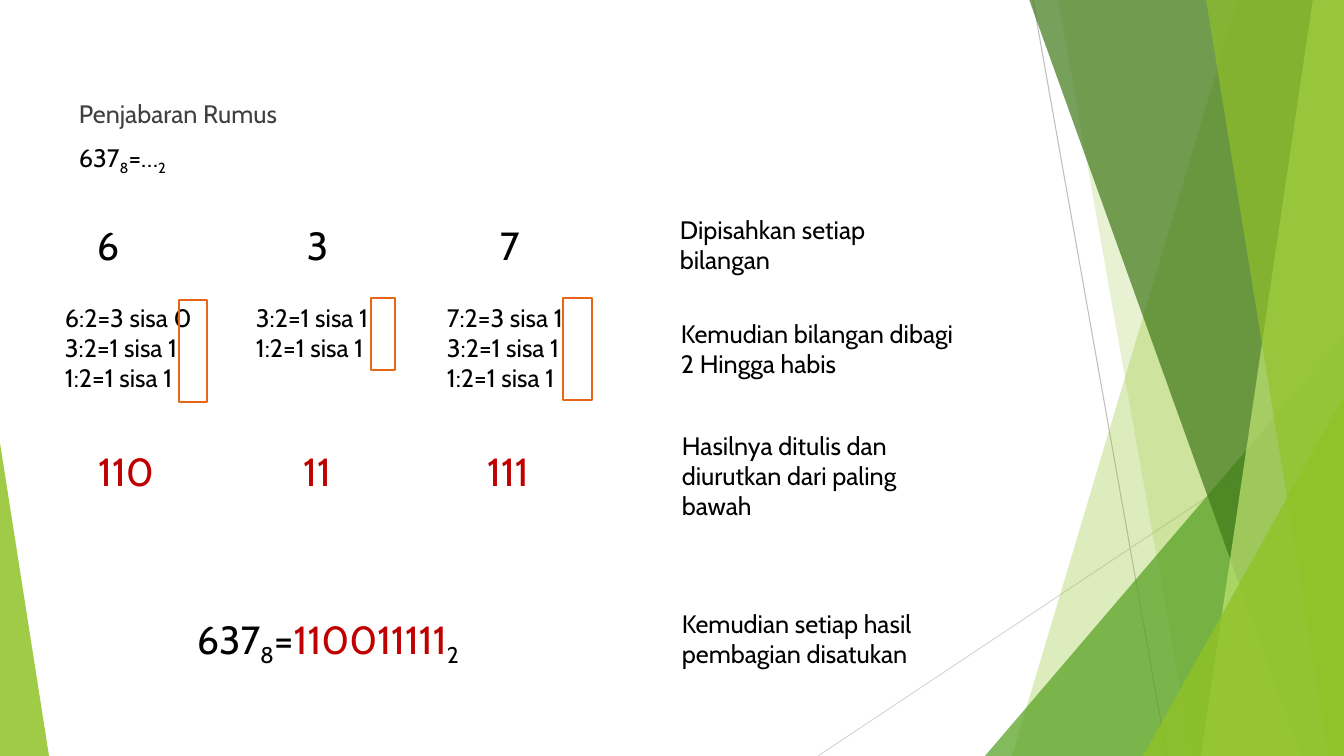
from lxml import etree
from pptx import Presentation
from pptx import util as u
from pptx.dml.color import RGBColor
from pptx.enum import shapes, text
from pptx.oxml import ns

WIDTH, HEIGHT = 1344, 756
SCALE = 12192000 / WIDTH
FONT = "Cabin"
BLACK = RGBColor(0x00, 0x00, 0x00)
GREY = RGBColor(0x40, 0x40, 0x40)
RED = RGBColor(0xC0, 0x00, 0x00)
ORANGE = RGBColor(0xE7, 0x66, 0x18)
LINE_DARK = RGBColor(0xBF, 0xBF, 0xBF)
LINE_LIGHT = RGBColor(0xD9, 0xD9, 0xD9)
GREEN = RGBColor(0x90, 0xC2, 0x26)
GREEN_MID = RGBColor(0x54, 0xA0, 0x21)
GREEN_DARK = RGBColor(0x3F, 0x78, 0x19)
GREEN_LIGHT = RGBColor(0xC0, 0xE4, 0x74)


def px(length):
    return u.Emu(round(length * SCALE))


def paint(shape, color, alpha):
    """Fill a shape with a see-through colour and no outline."""
    shape.shadow.inherit = False
    shape.line.fill.background()
    shape.fill.solid()
    shape.fill.fore_color.rgb = color
    tint = shape.fill._xPr.find(".//" + ns.qn("a:srgbClr"))
    etree.SubElement(tint, ns.qn("a:alpha"), val=str(alpha * 1000))


def add_line(page, start, end, color):
    line = page.shapes.add_connector(
        shapes.MSO_CONNECTOR.STRAIGHT, *map(px, start + end))
    line.line.color.rgb = color
    line.line.width = u.Pt(0.75)
    etree.SubElement(line._element.spPr, ns.qn("a:effectLst"))


def add_band(page, top_x, bottom_x, color, alpha):
    """Band from a slanted left edge to the right side of the slide."""
    outline = page.shapes.build_freeform(top_x, -1, scale=SCALE)
    outline.add_line_segments(
        [(WIDTH, -1), (WIDTH, HEIGHT), (bottom_x, HEIGHT)], close=True)
    paint(outline.convert_to_shape(), color, alpha)


def add_corner(page, left, top, width, peak, color, alpha):
    """Right-angled triangle standing on the bottom edge."""
    corner = page.shapes.add_shape(
        shapes.MSO_SHAPE.ISOSCELES_TRIANGLE,
        px(left), px(top), px(width), px(HEIGHT - top))
    corner.adjustments[0] = peak
    paint(corner, color, alpha)


def add_text(page, area, paragraphs, size=18, color=BLACK,
             align=text.PP_ALIGN.LEFT, wrap=True):
    """Each paragraph is a string or a list of (text, is_subscript, color)."""
    box = page.shapes.add_textbox(*map(px, area))
    box.text_frame.word_wrap = wrap
    for index, content in enumerate(paragraphs):
        para = (box.text_frame.add_paragraph() if index
                else box.text_frame.paragraphs[0])
        para.alignment = align
        para.font.name, para.font.size = FONT, u.Pt(size)
        if isinstance(content, str):
            content = [(content, False, color)]
        for words, subscript, span_color in content:
            span = para.add_run()
            span.text = words
            span.font.color.rgb = span_color
            if subscript:
                span.font._element.set("baseline", "-25000")
    return box


def draw_backdrop(page):
    add_line(page, (1033, 0), (1167, HEIGHT), LINE_DARK)
    add_line(page, (WIDTH, 406), (818, HEIGHT), LINE_LIGHT)
    add_band(page, 1238, 1012, GREEN, 30)
    add_band(page, 1058, 1192, GREEN, 20)
    add_corner(page, 985, 336, 359, 1, GREEN_MID, 72)
    add_band(page, 1029, 1301, GREEN_DARK, 70)
    add_band(page, 1313, 1201, GREEN_LIGHT, 70)
    add_band(page, 1206, 1329, GREEN, 65)
    add_corner(page, 1143, 396, 201, 1, GREEN, 80)
    add_corner(page, 0, 443, 49, 0, GREEN, 85)


def draw_heading(page, left, top):
    question = [("637", False, BLACK), ("8", True, BLACK),
                ("=…", False, BLACK), ("2", True, BLACK)]
    box = add_text(page, (left, top, 290, 83),
                   ["Penjabaran Rumus", question], color=GREY)
    box.text_frame.paragraphs[1].space_before = u.Pt(10)


def draw_digits(page, left, top):
    box = add_text(page, (left, top, 462, 57), ["6\t3\t7"], size=28)
    props = box.text_frame.paragraphs[0]._p.get_or_add_pPr()
    stops = etree.SubElement(props, ns.qn("a:tabLst"))
    props.insert(0, stops)
    for stop in (210, 403):
        etree.SubElement(stops, ns.qn("a:tab"), pos=str(px(stop)), algn="l")


def draw_division(page, left, top, steps, result, mark):
    """Division steps, frame for the remainders and the binary result."""
    add_text(page, (left, top, 158, 102), steps)
    add_text(page, (left - 16, top + 145, 174, 57), [result], size=28,
             color=RED, align=text.PP_ALIGN.CENTER)
    offset_x, offset_y, width, height = mark
    frame = page.shapes.add_shape(
        shapes.MSO_SHAPE.RECTANGLE, px(left + offset_x), px(top + offset_y),
        px(width), px(height))
    frame.shadow.inherit = False
    frame.fill.background()
    frame.line.color.rgb = ORANGE
    frame.line.width = u.Pt(1.5)


def draw_divisions(page, left, top):
    divisions = [
        (["6:2=3 sisa 0", "3:2=1 sisa 1", "1:2=1 sisa 1"], "110",
         (124, 3, 28, 102)),
        (["3:2=1 sisa 1", "1:2=1 sisa 1"], "11", (125, 1, 24, 72)),
        (["7:2=3 sisa 1", "3:2=1 sisa 1", "1:2=1 sisa 1"], "111",
         (126, 1, 29, 102)),
    ]
    for column, division in enumerate(divisions):
        draw_division(page, left + column * 191, top, *division)


def draw_answer(page, left, top):
    answer = [("637", False, BLACK), ("8", True, BLACK), ("=", False, BLACK),
              ("110011111", False, RED), ("2", True, BLACK)]
    add_text(page, (left, top, 324, 57), [answer], size=28, wrap=False)


def draw_notes(page):
    notes = [
        (670, 209, 294, "Dipisahkan setiap bilangan"),
        (671, 313, 308, "Kemudian bilangan dibagi 2 Hingga habis"),
        (672, 425, 308, "Hasilnya ditulis dan diurutkan dari paling bawah"),
        (672, 603, 304, "Kemudian setiap hasil pembagian disatukan"),
    ]
    for left, top, width, note in notes:
        add_text(page, (left, top, width, 72), [note])


def main():
    deck = Presentation()
    deck.slide_width, deck.slide_height = px(WIDTH), px(HEIGHT)
    page = deck.slides.add_slide(deck.slide_layouts[6])
    draw_backdrop(page)
    draw_heading(page, 69, 93)
    draw_digits(page, 87, 216)
    draw_divisions(page, 55, 297)
    draw_answer(page, 187, 610)
    draw_notes(page)
    deck.save("out.pptx")


if __name__ == "__main__":
    main()
